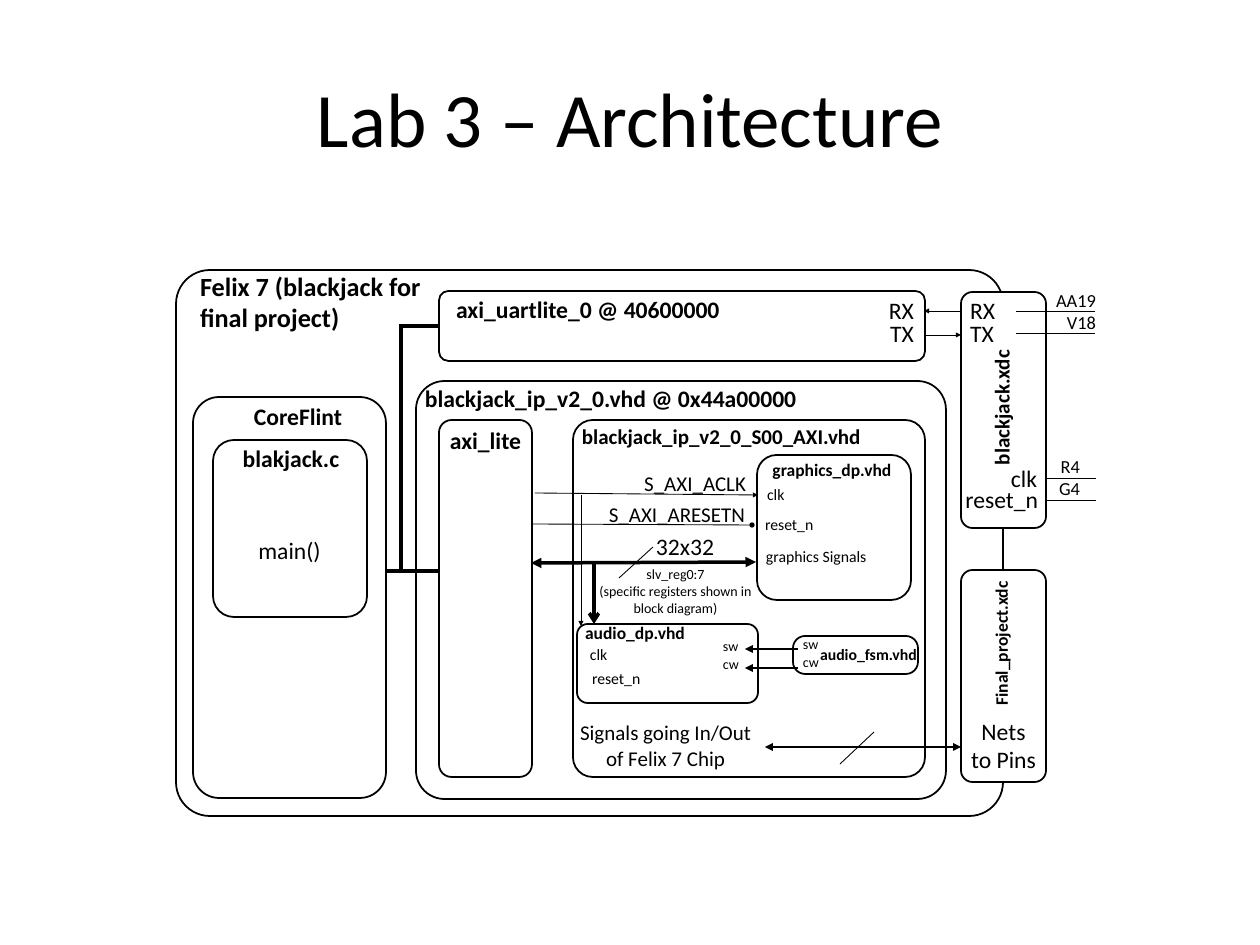
from lxml import etree
from pptx import Presentation
from pptx import util as u
from pptx.dml.color import RGBColor
from pptx.enum import shapes, text
from pptx.oxml.ns import qn

SCALE = 914400 / 63
COLORS = {"ink": "000000", "paper": "FFFFFF"}
FONT = "Calibri"
ALIGN = {"l": text.PP_ALIGN.LEFT, "c": text.PP_ALIGN.CENTER, "r": text.PP_ALIGN.RIGHT}
LEFT_SIDE = 1


def px(*lengths):
    return [u.Emu(round(length * SCALE)) for length in lengths]


class Diagram:
    """Draws black-on-white diagram parts on one slide, with lengths in px."""

    def __init__(self, slide):
        self.slide = slide
        self.shapes = slide.shapes

    def color(self, name):
        return RGBColor.from_string(COLORS[name])

    def fill_text(self, frame, content, size, align, bold, inset):
        frame.text = content
        frame.word_wrap = True
        frame.margin_left = frame.margin_right = px(inset[0])[0]
        frame.margin_top = frame.margin_bottom = px(inset[1])[0]
        for paragraph in frame.paragraphs:
            paragraph.alignment = ALIGN[align]
            paragraph.font.name = FONT
            paragraph.font.size = u.Pt(size)
            paragraph.font.bold = bold
            paragraph.font.color.rgb = self.color("ink")

    def title(self, content, place, size):
        title = self.shapes.title
        title.left, title.top, title.width, title.height = px(*place)
        self.fill_text(title.text_frame, content, size, "c", False, (13, 6))
        title.text_frame.vertical_anchor = text.MSO_ANCHOR.MIDDLE

    def block(self, place, corner=0.135):
        block = self.shapes.add_shape(shapes.MSO_SHAPE.ROUNDED_RECTANGLE, *px(*place))
        block.adjustments[0] = corner
        block.shadow.inherit = False
        block.fill.solid()
        block.fill.fore_color.rgb = self.color("paper")
        block.line.color.rgb = self.color("ink")
        block.line.width = u.Pt(2)
        return block

    def label(self, content, place, size, align="l", bold=False, rotation=0):
        label = self.shapes.add_textbox(*px(*place))
        label.rotation = rotation
        self.fill_text(label.text_frame, content, size, align, bold, (9, 4))

    def wire(self, ends, width=1, head=None, tail=None):
        """Draw a line; head and tail name the arrowheads at its start and end."""
        wire = self.shapes.add_connector(shapes.MSO_CONNECTOR.STRAIGHT, *px(*ends))
        wire.line.color.rgb = self.color("ink")
        wire.line.width = u.Pt(width)
        properties = wire._element.spPr
        line = properties.find(qn("a:ln"))
        for tag, kind in (("a:headEnd", head), ("a:tailEnd", tail)):
            if kind:
                etree.SubElement(line, qn(tag)).set("type", kind)
        etree.SubElement(properties, qn("a:effectLst"))
        return wire


def draw_blocks(diagram):
    """Draw the nested blocks and return the UART, which the bus joins."""
    diagram.block((176, 270, 827, 546), 0.062)   # chip
    uart = diagram.block((439, 291, 486, 70))
    for place, corner in (
        ((193, 397, 193, 401), 0.135),   # processor
        ((213, 440, 154, 177), 0.135),   # C program
        ((416, 381, 530, 418), 0.068),   # blackjack IP
        ((439, 420, 93, 357), 0.135),    # axi_lite
        ((573, 420, 352, 357), 0.056),   # S00_AXI
        ((757, 455, 154, 145), 0.135),   # graphics_dp
        ((577, 624, 181, 79), 0.135),    # audio_dp
        ((793, 636, 125, 38), 0.319),    # audio_fsm
        ((961, 292, 85, 236), 0.135),    # blackjack.xdc
        ((961, 570, 85, 212), 0.135),    # Final_project.xdc
    ):
        diagram.block(place, corner)
    return uart


def draw_wires(diagram, uart):
    bus_to_uart = diagram.wire((399, 326, 439, 326), 4)
    bus_to_uart.end_connect(uart, LEFT_SIDE)
    for ends, width, head, tail in (
        ((401, 571, 401, 326), 4, None, None),
        ((387, 571, 439, 571), 4, None, None),
        ((535, 493, 758, 495), 1, None, "triangle"),
        ((532, 524, 752, 525), 1, None, "oval"),
        ((531, 563, 756, 562), 4, "triangle", "triangle"),
        ((594, 563, 594, 624), 4, None, "arrow"),
        ((581, 495, 581, 626), 1, None, "triangle"),
        ((619, 578, 653, 547), 1, None, None),
        ((765, 747, 961, 747), 3, "triangle", "triangle"),
        ((840, 764, 874, 732), 1, None, None),
        ((924, 311, 961, 311), 1, "triangle", None),
        ((924, 335, 961, 335), 1, None, "triangle"),
    ):
        diagram.wire(ends, width, head, tail)
    for y in (649, 668):
        diagram.wire((798, y, 745, y), 3, tail="triangle")
    for left, right, pin_rows in ((1016, 1095, (311, 333)), (1046, 1096, (478, 500))):
        for y in pin_rows:
            diagram.wire((left, y, right, y))


def draw_names(diagram):
    for name, place, size, align in (
        ("Felix 7 (blackjack for final project)", (191, 266, 248, 73), 30, "l"),
        ("axi_uartlite_0 @ 40600000", (447, 291, 336, 38), 27, "l"),
        ("CoreFlint", (219, 398, 158, 38), 27, "c"),
        ("blakjack.c", (212, 440, 158, 38), 27, "c"),
        ("blackjack_ip_v2_0.vhd @ 0x44a00000", (416, 380, 566, 38), 27, "l"),
        ("axi_lite", (439, 422, 93, 38), 27, "c"),
        ("blackjack_ip_v2_0_S00_AXI.vhd", (573, 420, 379, 35), 24, "l"),
        ("graphics_dp.vhd", (755, 455, 154, 31), 20, "c"),
        ("audio_dp.vhd", (558, 618, 154, 31), 20, "c"),
        ("audio_fsm.vhd", (779, 641, 179, 28), 18, "c"),
    ):
        diagram.label(name, place, size, align, bold=True)
    diagram.label("blackjack.xdc", (932, 390, 140, 35), 24, "c", True, 270)
    diagram.label("Final_project.xdc", (929, 628, 146, 31), 20, "c", True, 270)


def draw_signals(diagram):
    for signal, place, size, align in (
        ("main()", (238, 532, 103, 38), 27, "c"),
        ("S_AXI_ACLK", (606, 466, 149, 35), 24, "r"),
        ("S_AXI_ARESETN", (552, 498, 202, 35), 24, "r"),
        ("32x32", (647, 528, 82, 38), 27, "l"),
        ("slv_reg0:7\n(specific registers shown in block diagram)",
         (576, 562, 199, 61), 16, "c"),
        ("clk", (758, 481, 55, 28), 18, "l"),
        ("reset_n", (756, 511, 103, 28), 18, "l"),
        ("graphics Signals", (757, 543, 226, 28), 18, "l"),
        ("clk", (581, 641, 55, 28), 18, "l"),
        ("reset_n", (583, 665, 103, 28), 18, "l"),
        ("Signals going In/Out of Felix 7 Chip", (566, 716, 199, 60), 24, "c"),
        ("Nets to Pins", (961, 713, 85, 67), 27, "c"),
        ("clk", (991, 460, 55, 38), 27, "r"),
        ("reset_n", (953, 481, 94, 38), 27, "r"),
        ("AA19\nV18", (1028, 285, 77, 54), 21, "r"),
        ("R4\nG4", (1012, 451, 77, 54), 21, "r"),
    ):
        diagram.label(signal, place, size, align)
    for port, y in (("RX", 292), ("TX", 315)):
        diagram.label(port, (868, y, 55, 38), 27, "r")
        diagram.label(port, (961, y, 55, 38), 27)
    for left, top in ((714, 634), (794, 632)):
        for row, word in enumerate(("sw", "cw")):
            diagram.label(word, (left, top + 18 * row, 50, 26), 16)


def main():
    presentation = Presentation()
    presentation.slide_width, presentation.slide_height = px(1260, 945)
    title_only = presentation.slide_layouts[5]
    diagram = Diagram(presentation.slides.add_slide(title_only))
    diagram.title("Lab 3 – Architecture", (63, 38, 1134, 157), 88)
    uart = draw_blocks(diagram)
    draw_wires(diagram, uart)
    draw_names(diagram)
    draw_signals(diagram)
    presentation.save("out.pptx")


if __name__ == "__main__":
    main()
